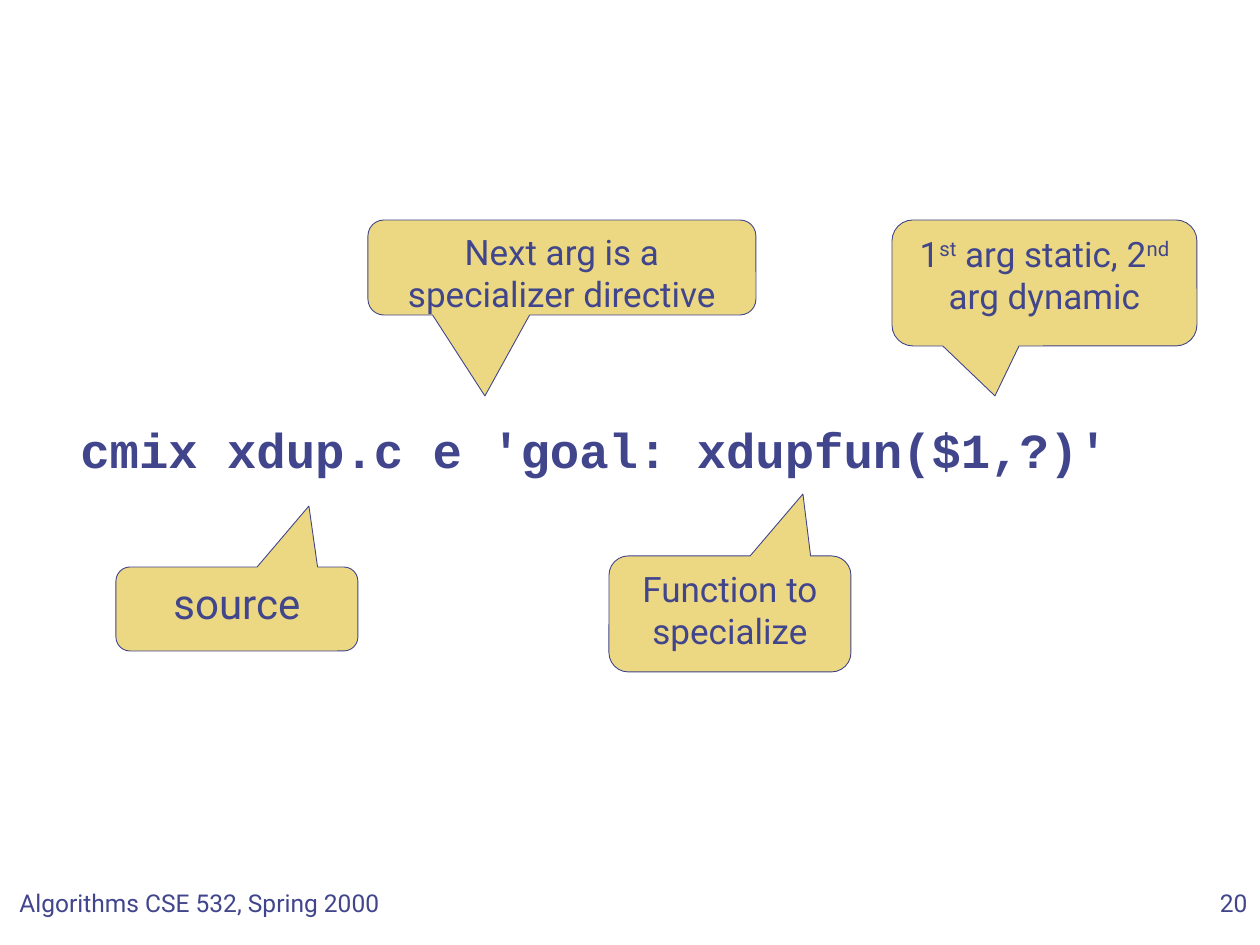
from pptx import Presentation
from pptx.dml.color import RGBColor
from pptx.enum.shapes import MSO_SHAPE
from pptx.enum.text import MSO_ANCHOR, PP_ALIGN
from pptx.util import Emu, Pt

INK = "40458C"
SAND = "ECD882"


def px(length):
    return Emu(round(length * 914400 / 126))


def write(frame, runs, size, align, font="Roboto", bold=False):
    frame.word_wrap = True
    frame.vertical_anchor = MSO_ANCHOR.TOP
    paragraph = frame.paragraphs[0]
    paragraph.alignment = align
    for text, raised in runs:
        run = paragraph.add_run()
        run.text = text
        run.font.name = font
        run.font.size = Pt(size)
        run.font.bold = bold
        run.font.color.rgb = RGBColor.from_string(INK)
        if raised:
            run.font._element.set("baseline", "30000")


prs = Presentation()
prs.slide_width, prs.slide_height = px(1260), px(945)
slide = prs.slides.add_slide(prs.slide_layouts[6])

# Command line
command = slide.shapes.add_textbox(px(68), px(413), px(1124), px(68))
write(command.text_frame, [("cmix xdup.c e 'goal: xdupfun($1,?)'", False)],
      28, PP_ALIGN.LEFT, "Courier New", True)

# Callouts: left, top, width, height, pointer tip x and y, size, runs
callouts = [
    (116, 567, 242, 84, 309, 506, 24, [("source", False)]),
    (368, 220, 388, 95, 485, 396, 20,
     [("Next arg is a specializer directive", False)]),
    (609, 556, 242, 116, 803, 494, 20, [("Function to specialize", False)]),
    (892, 220, 305, 126, 995, 396, 20,
     [("1", False), ("st", True), (" arg static, 2", False),
      ("nd", True), (" arg dynamic", False)]),
]
for left, top, width, height, tip_x, tip_y, size, runs in callouts:
    callout = slide.shapes.add_shape(MSO_SHAPE.ROUNDED_RECTANGULAR_CALLOUT,
                                     px(left), px(top), px(width), px(height))
    # The tip is measured from the centre, as a share of the size
    callout.adjustments[0] = (tip_x - left) / width - 0.5
    callout.adjustments[1] = (tip_y - top) / height - 0.5
    callout.shadow.inherit = False
    callout.fill.solid()
    callout.fill.fore_color.rgb = RGBColor.from_string(SAND)
    callout.line.color.rgb = RGBColor.from_string(INK)
    callout.line.width = Pt(0.5)
    write(callout.text_frame, runs, size, PP_ALIGN.CENTER)

# Footer and page number
for left, width, text, align in [
    (0, 399, "Algorithms CSE 532, Spring 2000", PP_ALIGN.CENTER),
    (998, 262, "20", PP_ALIGN.RIGHT),
]:
    footer = slide.shapes.add_textbox(px(left), px(882), px(width), px(63))
    write(footer.text_frame, [(text, False)], 14, align)

prs.save("out.pptx")
